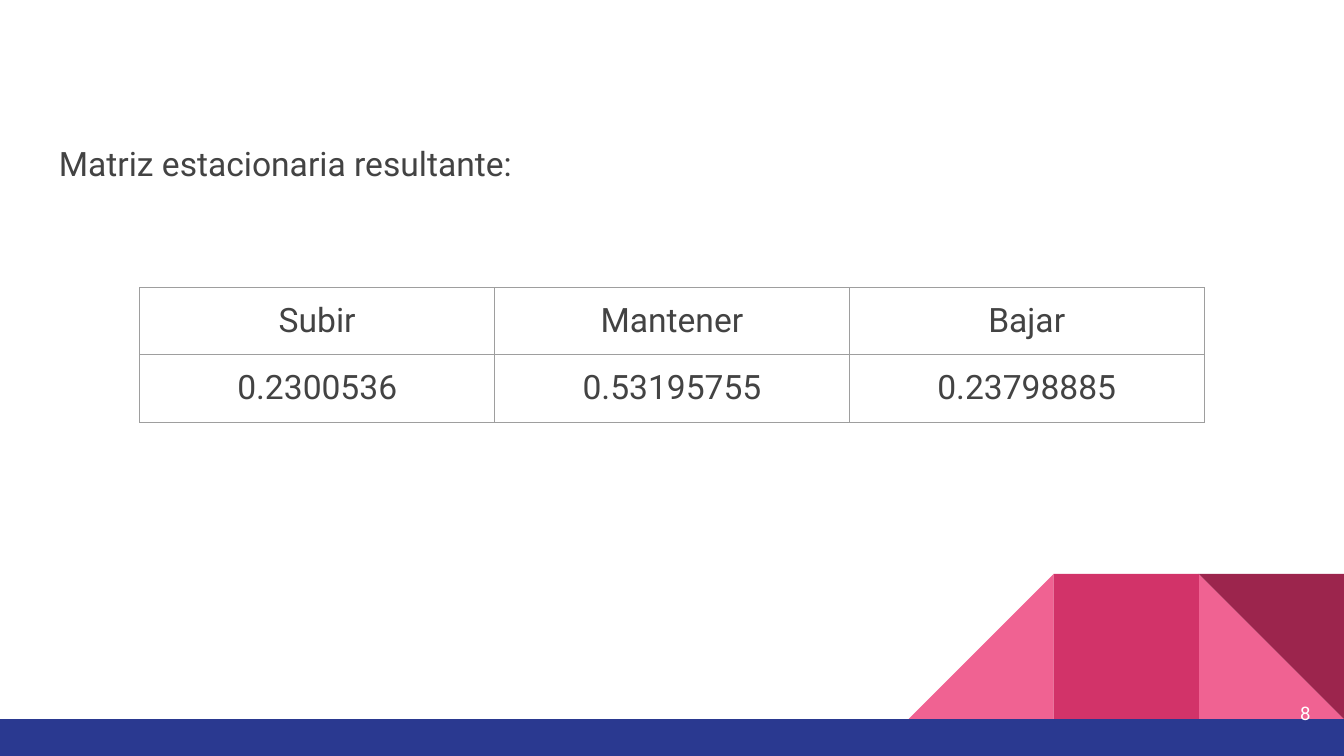
from dataclasses import dataclass

from lxml import etree
from pptx import Presentation
from pptx.dml.color import RGBColor
from pptx.enum.shapes import MSO_SHAPE
from pptx.enum.text import MSO_ANCHOR, PP_ALIGN
from pptx.oxml.ns import qn
from pptx.util import Inches, Pt

RECTANGLE = MSO_SHAPE.RECTANGLE
RIGHT_TRIANGLE = MSO_SHAPE.RIGHT_TRIANGLE
TOP, MIDDLE = MSO_ANCHOR.TOP, MSO_ANCHOR.MIDDLE
LEFT, CENTER, RIGHT = PP_ALIGN.LEFT, PP_ALIGN.CENTER, PP_ALIGN.RIGHT

SLIDE_WIDTH = 10
SLIDE_HEIGHT = SLIDE_WIDTH * 9 / 16


@dataclass(frozen=True)
class Theme:
    font: str = "Roboto"
    body_size: int = 18
    number_size: int = 10
    border_width: float = 0.75
    inset: float = 0.1
    background: str = "FFFFFF"
    ink: str = "434343"
    on_dark: str = "FFFFFF"
    border: str = "9E9E9E"
    pink: str = "F06292"
    magenta: str = "D23369"
    wine: str = "9C254D"
    navy: str = "2A3990"


def write_text(frame, text, *, font, size, color, align=LEFT, line_spacing=1.0):
    paragraph = frame.paragraphs[0]
    paragraph.alignment = align
    paragraph.line_spacing = line_spacing
    run = paragraph.add_run()
    run.text = text
    run.font.name = font
    run.font.size = Pt(size)
    run.font.color.rgb = RGBColor.from_string(color)


def draw_cell_borders(cell, color, width):
    properties = cell._tc.get_or_add_tcPr()
    # Borders must come before the cell fill in the schema order.
    for position, side in enumerate(("a:lnL", "a:lnR", "a:lnT", "a:lnB")):
        line = etree.Element(qn(side), w=str(Pt(width)))
        fill = etree.SubElement(line, qn("a:solidFill"))
        etree.SubElement(fill, qn("a:srgbClr"), val=color)
        properties.insert(position, line)


class SlideBuilder:
    def __init__(self, slide, theme):
        self.slide = slide
        self.theme = theme
        fill = slide.background.fill
        fill.solid()
        fill.fore_color.rgb = RGBColor.from_string(theme.background)

    def block(self, preset, left, top, width, height, color, rotation=0):
        shape = self.slide.shapes.add_shape(
            preset, Inches(left), Inches(top), Inches(width), Inches(height))
        shape.shadow.inherit = False
        shape.rotation = rotation
        shape.fill.solid()
        shape.fill.fore_color.rgb = RGBColor.from_string(color)
        shape.line.fill.background()

    def text(self, text, left, top, width, height, anchor=TOP, **text_format):
        box = self.slide.shapes.add_textbox(
            Inches(left), Inches(top), Inches(width), Inches(height))
        frame = box.text_frame
        frame.word_wrap = True
        frame.vertical_anchor = anchor
        inset = Inches(self.theme.inset)
        frame.margin_left = frame.margin_right = inset
        frame.margin_top = frame.margin_bottom = inset
        write_text(frame, text, font=self.theme.font, **text_format)

    def table(self, rows, left, top, column_width, row_height):
        theme = self.theme
        table = self.slide.shapes.add_table(
            len(rows), len(rows[0]), Inches(left), Inches(top),
            Inches(column_width * len(rows[0])),
            Inches(row_height * len(rows))).table
        table.first_row = table.horz_banding = False
        inset = Inches(theme.inset)
        for r, values in enumerate(rows):
            for c, value in enumerate(values):
                cell = table.cell(r, c)
                cell.fill.background()
                cell.margin_left = cell.margin_right = inset
                cell.margin_top = cell.margin_bottom = inset
                write_text(cell.text_frame, value, font=theme.font,
                           size=theme.body_size, color=theme.ink, align=CENTER)
                draw_cell_borders(cell, theme.border, theme.border_width)


def main():
    theme = Theme()
    presentation = Presentation()
    presentation.slide_width = Inches(SLIDE_WIDTH)
    presentation.slide_height = Inches(SLIDE_HEIGHT)
    slide = presentation.slides.add_slide(presentation.slide_layouts[6])
    builder = SlideBuilder(slide, theme)

    tile, band_top = 1.08, 5.35
    tile_top = band_top - tile
    decoration = (
        (RIGHT_TRIANGLE, 1, theme.pink, 0),
        (RIGHT_TRIANGLE, 3, theme.pink, 270),
        (RECTANGLE, 2, theme.magenta, 0),
        (RIGHT_TRIANGLE, 1, theme.wine, 180),
    )
    for preset, tiles_from_right, color, rotation in decoration:
        builder.block(preset, SLIDE_WIDTH - tiles_from_right * tile, tile_top,
                      tile, tile, color, rotation)
    builder.block(RECTANGLE, 0, band_top, SLIDE_WIDTH,
                  SLIDE_HEIGHT - band_top, theme.navy)

    builder.text("Matriz estacionaria resultante:", 0.34, 0.92, 9.32, 2.9,
                 size=theme.body_size, color=theme.ink, line_spacing=1.15)
    stationary_matrix = (
        ("Subir", "Mantener", "Bajar"),
        ("0.2300536", "0.53195755", "0.23798885"),
    )
    # Rows grow to fit their text when drawn.
    builder.table(stationary_matrix, 1.04, 2.14, column_width=2.64, row_height=0.42)
    builder.text("8", 9.25, 5.09, 0.6, 0.43, anchor=MIDDLE,
                 size=theme.number_size, color=theme.on_dark, align=RIGHT)

    presentation.save("out.pptx")


if __name__ == "__main__":
    main()
